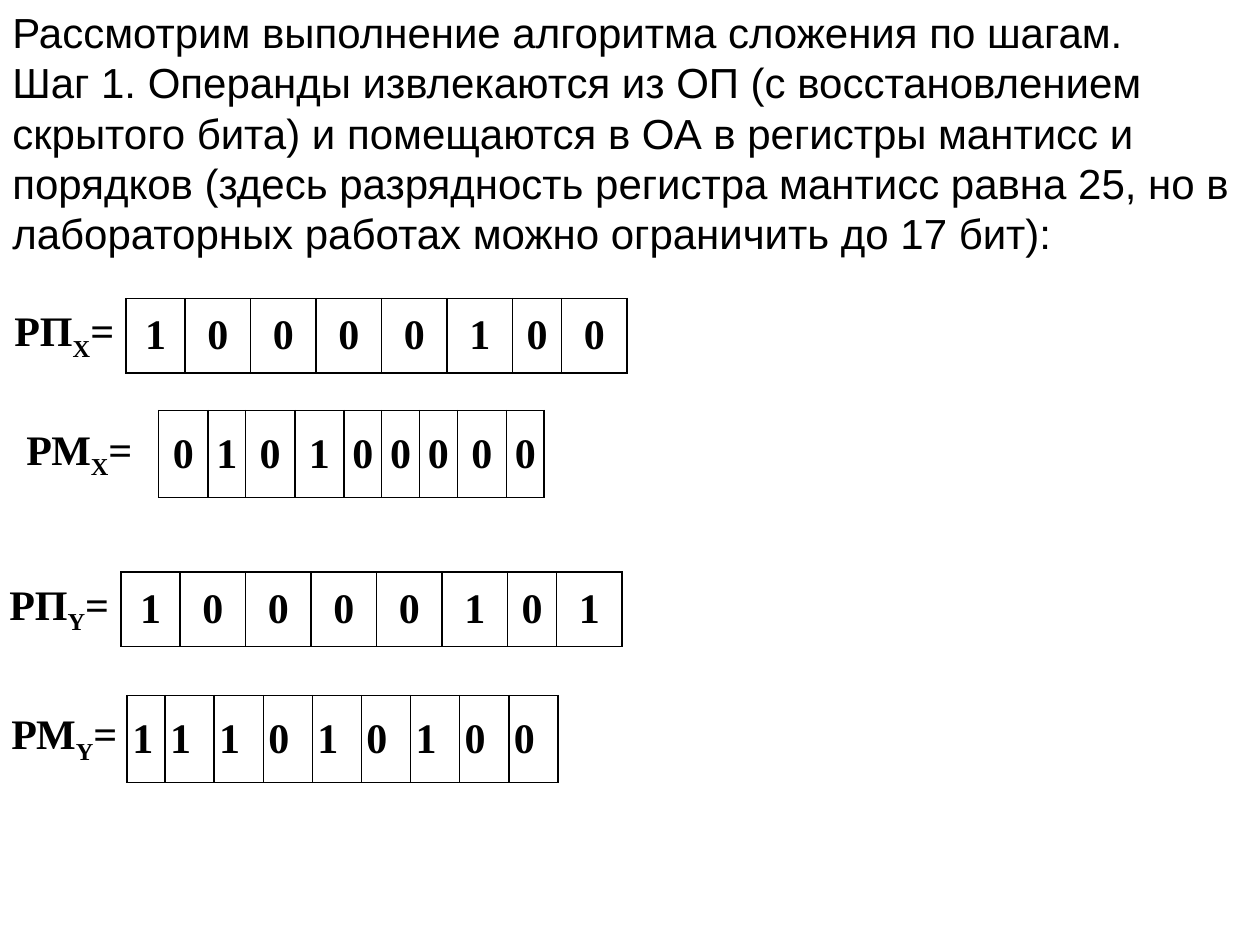
"""Build a slide showing operand registers at the first step of an addition."""
from dataclasses import dataclass

from lxml import etree
from pptx import Presentation
from pptx.dml.color import RGBColor
from pptx.enum.text import MSO_ANCHOR, PP_ALIGN
from pptx.oxml.ns import qn
from pptx.slide import Slide
from pptx.util import Inches, Pt

BLACK = RGBColor(0, 0, 0)
LEFT, CENTER = PP_ALIGN.LEFT, PP_ALIGN.CENTER
MIDDLE = MSO_ANCHOR.MIDDLE

INTRO = (
    "Рассмотрим выполнение алгоритма сложения по шагам.",
    "Шаг 1. Операнды извлекаются из ОП (с восстановлением скрытого бита) "
    "и помещаются в ОА в регистры мантисс и порядков (здесь разрядность "
    "регистра мантисс равна 25, но в лабораторных работах можно ограничить до 17 бит):",
)
EXPONENT_WIDTHS = [0.98, 0.47] + [0.52] * 5 + [0.39, 0.52]
MANTISSA_X_WIDTHS = [1.26, 0.39, 0.3, 0.39, 0.39, 0.3, 0.3, 0.3, 0.39, 0.3]
MANTISSA_Y_WIDTHS = [0.96, 0.3] + [0.39] * 8


@dataclass
class RegisterSlide:
    """Style and drawing methods for the current slide."""

    slide: Slide
    text_font: str = "Arial"
    register_font: str = "Times New Roman"
    size: int = 24
    border: int = 1

    def style(self, paragraph, font_name, bold=False):
        """Apply the common font to a paragraph."""
        font = paragraph.font
        font.name, font.size, font.bold = font_name, Pt(self.size), bold
        font.color.rgb = BLACK

    def text(self, left, top, width, height, lines):
        """Add a wrapped block with one paragraph per line."""
        box = self.slide.shapes.add_textbox(
            Inches(left), Inches(top), Inches(width), Inches(height))
        frame = box.text_frame
        frame.word_wrap = True
        frame.text = "\n".join(lines)
        for paragraph in frame.paragraphs:
            self.style(paragraph, self.text_font)

    def borders(self, cell, visible):
        """Draw the visible sides of a cell and hide the others."""
        properties = cell._tc.get_or_add_tcPr()
        for side in "LRTB":
            line = etree.SubElement(properties, qn(f"a:ln{side}"), w=str(Pt(self.border)))
            if side in visible:
                fill = etree.SubElement(line, qn("a:solidFill"))
                etree.SubElement(fill, qn("a:srgbClr"), val=str(BLACK))
            else:
                etree.SubElement(line, qn("a:noFill"))

    def cell(self, cell, runs, inset, alignment, visible="LRTB"):
        """Fill one cell with runs given as text and baseline shift."""
        self.borders(cell, visible)
        cell.fill.background()
        cell.vertical_anchor = MIDDLE
        cell.margin_left = cell.margin_right = Inches(inset)
        cell.margin_top = cell.margin_bottom = 0
        paragraph = cell.text_frame.paragraphs[0]
        paragraph.alignment = alignment
        paragraph.space_after = Pt(3)
        self.style(paragraph, self.register_font, bold=True)
        for text, baseline in runs:
            run = paragraph.add_run()
            run.text = text
            if baseline:
                run._r.get_or_add_rPr().set("baseline", str(baseline))

    def register(self, left, top, height, widths, name, operand, bits, inset,
                 alignment=CENTER):
        """Add a register as a label cell followed by its bits."""
        frame = self.slide.shapes.add_table(
            1, len(widths), Inches(left), Inches(top), Inches(sum(widths)), Inches(height))
        table = frame.table
        table.first_row = table.horz_banding = False
        table.rows[0].height = Inches(height)
        for column, width in zip(table.columns, widths):
            column.width = Inches(width)
        label = [(name, 0), (operand, -25000), ("=", 0)]
        self.cell(table.cell(0, 0), label, inset, alignment, "R")
        for index, bit in enumerate(bits, 1):
            self.cell(table.cell(0, index), [(bit, 0)], inset, alignment)


def main():
    """Create and save the presentation."""
    presentation = Presentation()
    presentation.slide_width, presentation.slide_height = Inches(10), Inches(7.5)
    page = RegisterSlide(presentation.slides.add_slide(presentation.slide_layouts[6]))
    page.text(0, 0, 10, 2.12, INTRO)
    page.register(0.02, 2.37, 0.59, EXPONENT_WIDTHS, "РП", "X", "10000100", 0.07)
    page.register(0, 3.26, 0.69, MANTISSA_X_WIDTHS, "РМ", "X", "010100000", 0.04)
    page.register(0.05, 5.52, 0.69, MANTISSA_Y_WIDTHS, "РМ", "Y", "111010100", 0.04, LEFT)
    page.register(-0.02, 4.54, 0.59, EXPONENT_WIDTHS, "РП", "Y", "10000101", 0.07)
    presentation.save("out.pptx")


if __name__ == "__main__":
    main()
